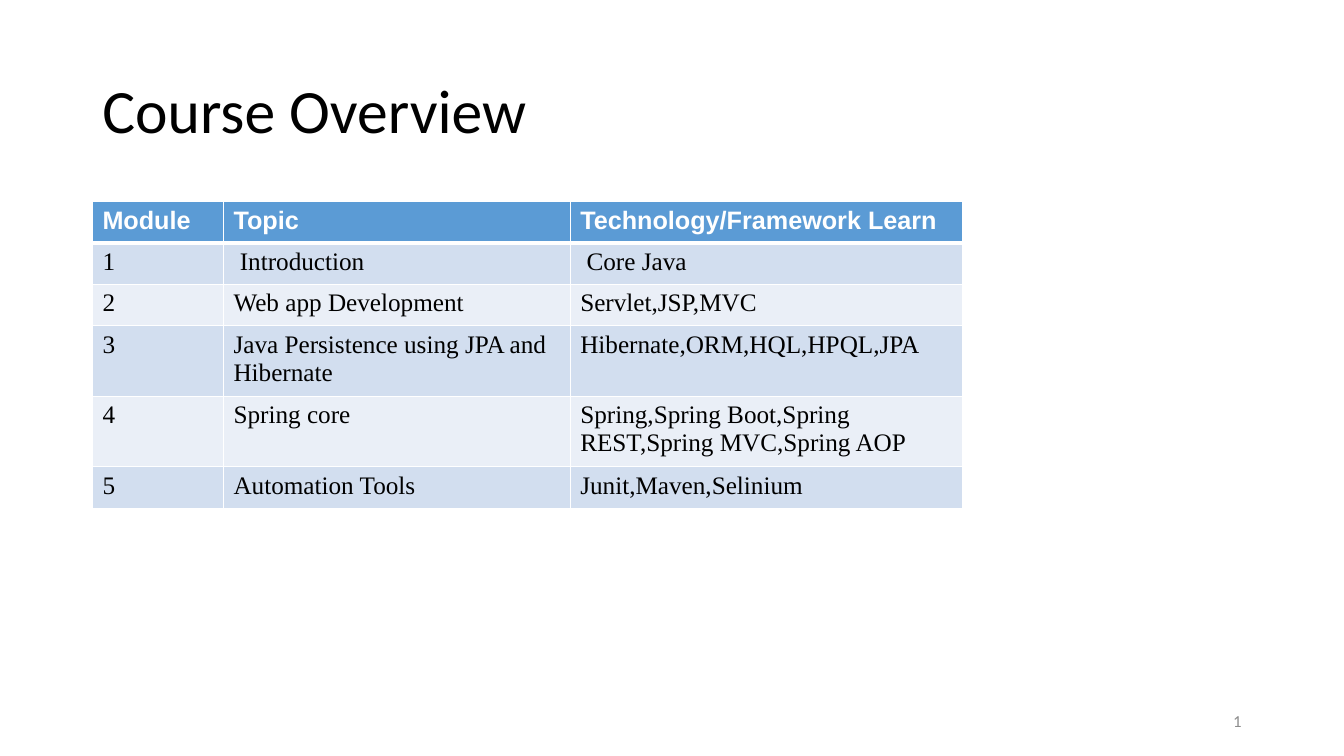
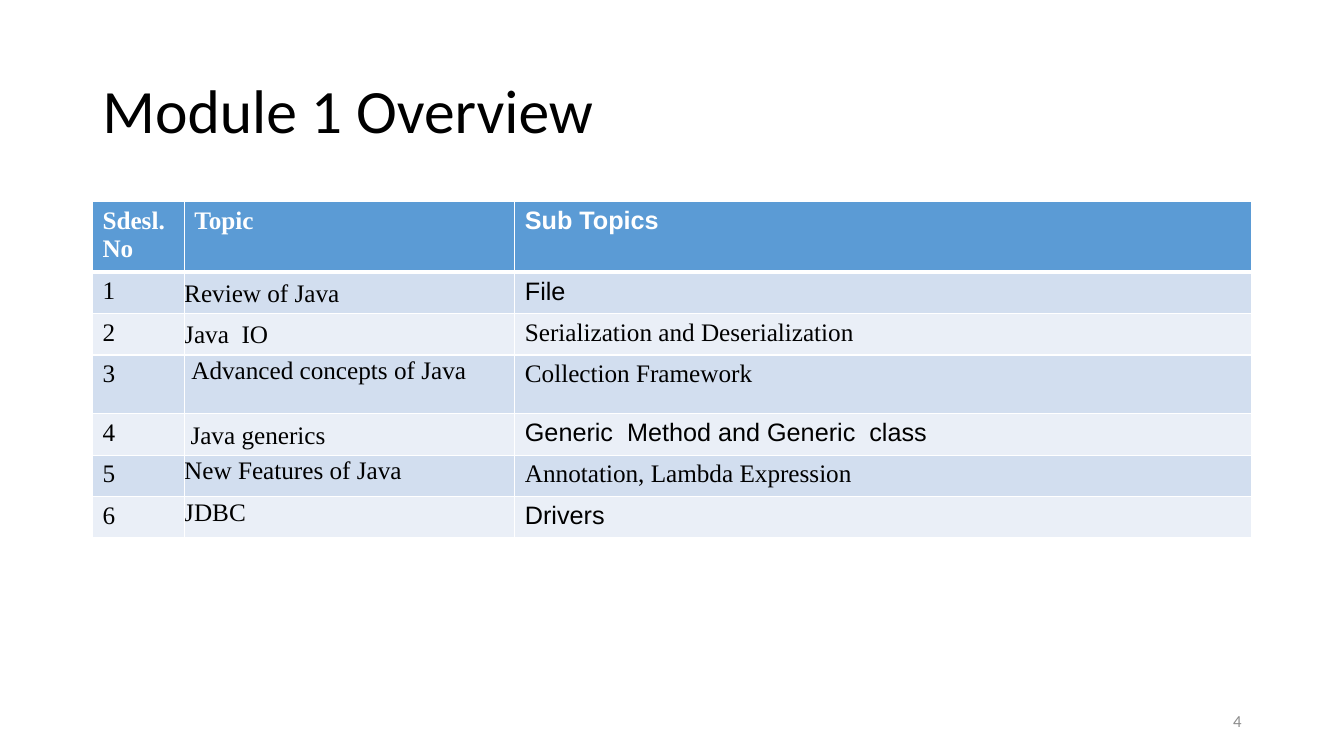
from dataclasses import dataclass

from lxml import etree
from pptx import Presentation
from pptx.dml.color import RGBColor
from pptx.enum.text import MSO_ANCHOR, PP_ALIGN
from pptx.oxml.ns import qn
from pptx.util import Inches, Pt

TOP, MIDDLE = MSO_ANCHOR.TOP, MSO_ANCHOR.MIDDLE
LEFT, RIGHT, JUSTIFY = PP_ALIGN.LEFT, PP_ALIGN.RIGHT, PP_ALIGN.JUSTIFY

COLORS = {
    "text": "000000",
    "number": "8C8C8C",
    "header": "5B9BD5",
    "on_header": "FFFFFF",
    "odd_row": "D2DEEF",
    "even_row": "EAEFF7",
    "rule": "FFFFFF",
}
HEADING, SANS, SERIF = "Calibri", "Arial", "Times New Roman"

# Lengths are percentages of the slide's width or height.
MARGIN = 6.88
CONTENT_WIDTH = 86.25
TABLE_TOP = 26.67
ROW_HEIGHT = 5.47


@dataclass
class Entry:
    """Table text; a flush entry has no cell margins and looser lines."""
    text: str
    font: str = SERIF
    flush: bool = False
    anchor: int = TOP
    align: int = LEFT
    space_after: int = 0
    indent: float = 0


def sans(text):
    return Entry(text, font=SANS)


def centred_topic(text):
    return Entry(text, flush=True, anchor=MIDDLE, space_after=8)


def justified_topic(text):
    return Entry(text, flush=True, align=JUSTIFY)


class Deck:
    def __init__(self):
        self.presentation = Presentation()
        self.presentation.slide_width = Inches(13.33)
        self.presentation.slide_height = Inches(7.5)
        self.slide = None

    def across(self, percent):
        return round(self.presentation.slide_width * percent / 100)

    def down(self, percent):
        return round(self.presentation.slide_height * percent / 100)

    def add_slide(self, title, number):
        blank = self.presentation.slide_layouts[6]
        self.slide = self.presentation.slides.add_slide(blank)
        heading = self.label(title, (MARGIN, 5.33, CONTENT_WIDTH, 19.33), 44, "text")
        heading.line_spacing = 0.9
        footer = self.label(str(number), (70.63, 92.67, 22.5, 5.33), 12, "number")
        footer.alignment = RIGHT

    def label(self, text, area, size, color):
        """Add vertically centred text and return its paragraph."""
        left, top, width, height = area
        box = self.slide.shapes.add_textbox(
            self.across(left), self.down(top), self.across(width), self.down(height))
        frame = box.text_frame
        frame.word_wrap = True
        frame.vertical_anchor = MIDDLE
        frame.text = text
        self.style(frame.paragraphs[0], HEADING, size, color)
        return frame.paragraphs[0]

    def style(self, paragraph, font, size, color, bold=False):
        for run in paragraph.runs:
            run.font.name = font
            run.font.size = Pt(size)
            run.font.bold = bold
            run.font.color.rgb = RGBColor.from_string(COLORS[color])

    def table(self, column_widths, rows, tall_rows=None):
        """Add a table; tall_rows maps a row's index to its height."""
        heights = [(tall_rows or {}).get(i, ROW_HEIGHT) for i in range(len(rows))]
        frame = self.slide.shapes.add_table(
            len(rows), len(column_widths), self.across(MARGIN), self.down(TABLE_TOP),
            self.across(sum(column_widths)), self.down(sum(heights)))
        grid = frame.table
        for column, width in zip(grid.columns, column_widths):
            column.width = self.across(width)
        for index, (row, height, entries) in enumerate(zip(grid.rows, heights, rows)):
            row.height = self.down(height)
            for cell, entry in zip(row.cells, entries):
                if isinstance(entry, str):
                    entry = Entry(entry)
                self.fill_cell(cell, entry, index)

    def fill_cell(self, cell, entry, row_index):
        is_header = row_index == 0
        background = "header" if is_header else ("even_row", "odd_row")[row_index % 2]
        cell.fill.solid()
        cell.fill.fore_color.rgb = RGBColor.from_string(COLORS[background])
        self.rule_cell(cell, row_index)
        cell.vertical_anchor = entry.anchor
        cell.text_frame.text = entry.text
        paragraph = cell.text_frame.paragraphs[0]
        paragraph.alignment = entry.align
        self.style(paragraph, entry.font, 18, "on_header" if is_header else "text", is_header)
        if entry.flush:
            cell.margin_left = cell.margin_right = 0
            cell.margin_top = cell.margin_bottom = 0
            paragraph.line_spacing = 1.07
            paragraph.space_after = Pt(entry.space_after)
        if entry.indent:
            properties = paragraph._p.get_or_add_pPr()
            properties.set("marL", str(self.across(entry.indent)))
            properties.set("indent", "0")

    def rule_cell(self, cell, row_index):
        """Draw thin borders, with a thick one between header and body."""
        widths = {"L": 1, "R": 1,
                  "T": 3 if row_index == 1 else 1,
                  "B": 3 if row_index == 0 else 1}
        properties = cell._tc.get_or_add_tcPr()
        for position, (side, width) in enumerate(widths.items()):
            line = etree.Element(qn(f"a:ln{side}"), w=str(Pt(width)))
            fill = etree.SubElement(line, qn("a:solidFill"))
            etree.SubElement(fill, qn("a:srgbClr"), val=COLORS["rule"])
            properties.insert(position, line)


def main():
    deck = Deck()

    deck.add_slide("Course Overview", 1)
    deck.table((9.75, 25.8, 29.18), [
        (sans("Module"), sans("Topic"), sans("Technology/Framework Learn")),
        ("1", " Introduction", " Core Java"),
        ("2", "Web app Development", "Servlet,JSP,MVC"),
        ("3", "Java Persistence using JPA and Hibernate", "Hibernate,ORM,HQL,HPQL,JPA"),
        ("4", "Spring core", "Spring,Spring Boot,Spring REST,Spring MVC,Spring AOP"),
        ("5", "Automation Tools", "Junit,Maven,Selinium"),
    ])

    deck.add_slide("Module 1 Overview", 4)
    deck.table((6.83, 24.6, 54.82), [
        ("Sdesl. No", "Topic", sans("Sub Topics")),
        ("1", centred_topic("Review of Java"), sans("File")),
        ("2", centred_topic("Java  IO"), "Serialization and Deserialization"),
        ("3", Entry("Advanced concepts of Java", flush=True, indent=0.53),
         "Collection Framework"),
        ("4", centred_topic(" Java generics"), sans("Generic  Method and Generic  class")),
        ("5", justified_topic("New Features of Java"), "Annotation, Lambda Expression"),
        ("6", justified_topic("JDBC"), sans("Drivers")),
    ], tall_rows={3: 7.8})

    deck.presentation.save("out.pptx")


if __name__ == "__main__":
    main()
